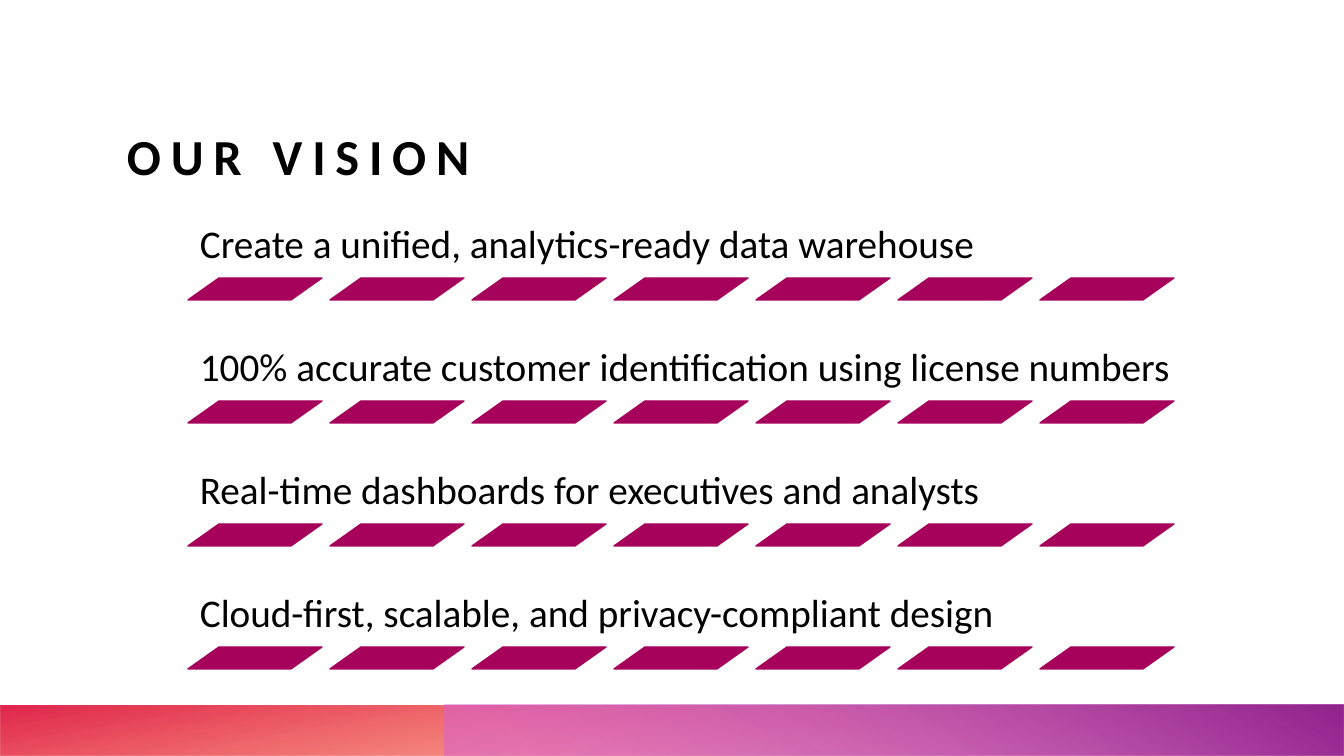
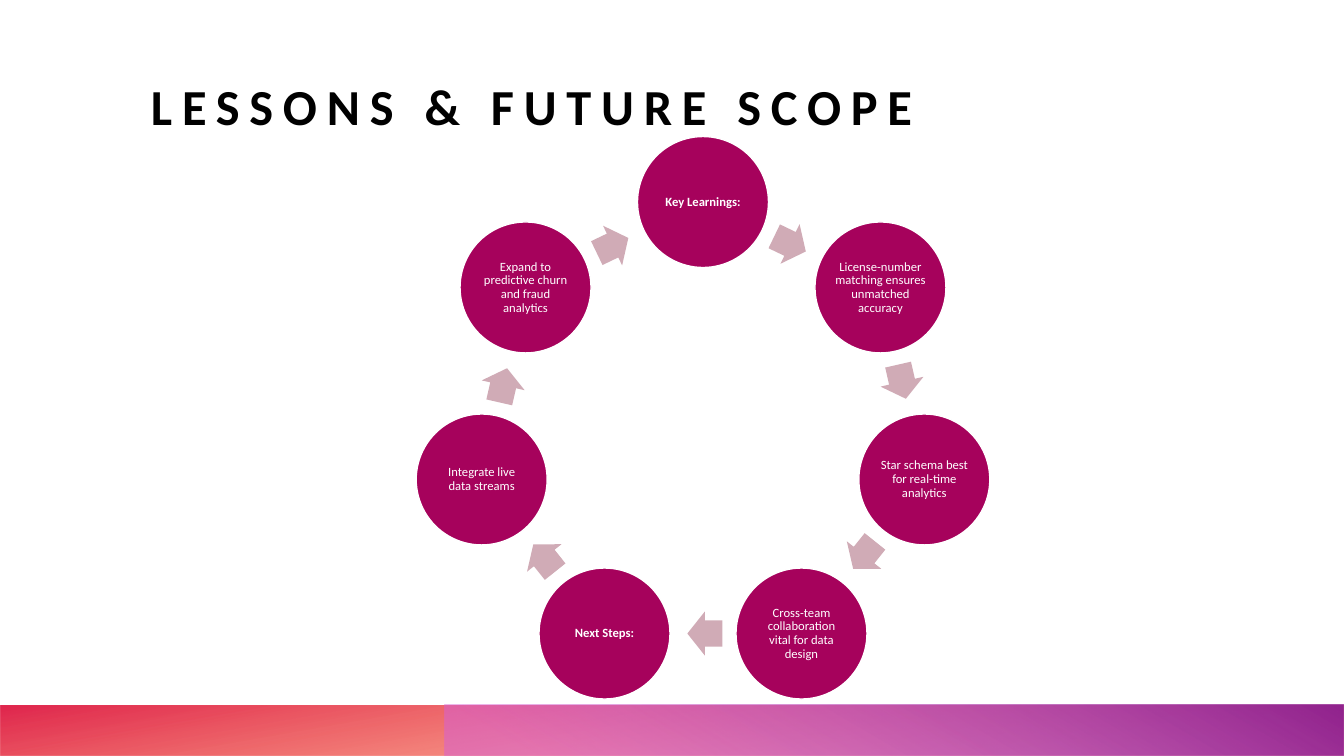
import dataclasses
import math

import lxml.etree
import pptx
import pptx.dml.color
import pptx.enum.shapes
import pptx.enum.text
import pptx.oxml.ns
import pptx.util

SHAPE = pptx.enum.shapes.MSO_SHAPE
ANCHOR = pptx.enum.text.MSO_ANCHOR
ALIGN = pptx.enum.text.PP_ALIGN
RGB = pptx.dml.color.RGBColor.from_string
PX = 914400 / 100.8


@dataclasses.dataclass(frozen=True)
class Theme:
    font: str = "Calibri"
    ink: str = "000000"
    paper: str = "FFFFFF"
    accent: str = "A6025C"
    arrow: str = "D0ABB6"
    orange: str = "FE4A00"
    red: str = "DA002F"
    pink: str = "D861D4"
    purple: str = "92248E"
    title_size: int = 36
    goal_size: int = 28
    step_size: int = 9
    title_tracking: int = 700


theme = Theme()


def add_box(page, kind, left, top, width, height, fill=None, line=None):
    bounds = [round(value * PX) for value in (left, top, width, height)]
    if kind is None:
        return page.shapes.add_textbox(*bounds)
    box = page.shapes.add_shape(kind, *bounds)
    box.shadow.inherit = False
    if fill:
        box.fill.solid()
        box.fill.fore_color.rgb = RGB(fill)
    if line:
        box.line.color.rgb = RGB(line)
        box.line.width = pptx.util.Pt(1)
    else:
        box.line.fill.background()
    return box


def write(box, text, size, color=theme.ink, bold=False, align=ALIGN.LEFT,
          anchor=ANCHOR.BOTTOM, inset=0, spacing=0.9, tracking=0):
    frame = box.text_frame
    frame.word_wrap = True
    frame.vertical_anchor = anchor
    frame.margin_left = frame.margin_right = round(inset * PX)
    frame.margin_top = frame.margin_bottom = round(inset * PX)
    para = frame.paragraphs[0]
    para.alignment = align
    para.line_spacing = spacing
    span = para.add_run()
    span.text = text
    span.font.name = theme.font
    span.font.size = pptx.util.Pt(size)
    span.font.bold = bold
    span.font.color.rgb = RGB(color)
    if tracking:
        span.font._element.set("spc", str(tracking))


deck = pptx.Presentation()
deck.slide_width = round(1344 * PX)
deck.slide_height = round(756 * PX)

bands = [
    (0, 1344, 180, 100, [(0.14, theme.orange, 28), (1, theme.red, 85)]),
    (445, 899, 0, 240, [(0.09, theme.pink, 55), (0.99, theme.purple, 100)]),
]
titles = [("OUR VISION", 127, 50), ("LESSONS & FUTURE SCOPE", 151, 0)]
pages = []
for title, title_left, title_top in titles:
    page = deck.slides.add_slide(deck.slide_layouts[6])
    pages.append(page)
    for left, width, rotation, angle, stops in bands:
        band = add_box(page, SHAPE.RECTANGLE, left, 705, width, 51)
        band.rotation = rotation
        band.element.spPr.xfrm.set("flipH", "1")
        band.fill.gradient()
        band.fill.gradient_angle = 360 - angle
        for stop, (position, color, alpha) in zip(band.fill.gradient_stops, stops):
            stop.position = position
            stop.color.rgb = RGB(color)
        colors = band.element.spPr.iter(pptx.oxml.ns.qn("a:srgbClr"))
        for color_node, (position, color, alpha) in zip(colors, stops):
            lxml.etree.SubElement(color_node, pptx.oxml.ns.qn("a:alpha"), val=str(alpha * 1000))
    title_box = add_box(page, None, title_left, title_top, 1129, 136)
    write(title_box, title, size=theme.title_size, bold=True, spacing=1.0,
          tracking=theme.title_tracking)

vision_page, lessons_page = pages

goals = [
    "Create a unified, analytics-ready data warehouse",
    "100% accurate customer identification using license numbers",
    "Real-time dashboards for executives and analysts",
    "Cloud-first, scalable, and privacy-compliant design",
]
for row, goal in enumerate(goals):
    goal_top = 187 + row * 123
    goal_box = add_box(vision_page, None, 188, goal_top, 1005, 92)
    write(goal_box, goal, size=theme.goal_size, inset=12)
    for column in range(7):
        dash = add_box(vision_page, SHAPE.PARALLELOGRAM, 188 + column * 142, goal_top + 91,
                       134, 22, fill=theme.accent, line=theme.accent)
        dash.adjustments[0] = 1.41

steps = [
    ("Key Learnings:", True),
    ("License-number matching ensures unmatched accuracy", False),
    ("Star schema best for real-time analytics", False),
    ("Cross-team collaboration vital for data design", False),
    ("Next Steps:", True),
    ("Integrate live data streams", False),
    ("Expand to predictive churn and fraud analytics", False),
]
center_x, center_y, radius, diameter = 703, 429, 227, 131
arrow_width, arrow_height = 35, 44
turn = 2 * math.pi / len(steps)
arrow_radius = radius * math.cos(turn / 2)
for index, (step, is_heading) in enumerate(steps):
    angle = index * turn
    circle = add_box(lessons_page, SHAPE.OVAL,
                     center_x + radius * math.sin(angle) - diameter / 2,
                     center_y - radius * math.cos(angle) - diameter / 2,
                     diameter, diameter, fill=theme.accent, line=theme.paper)
    write(circle, step, size=theme.step_size, color=theme.paper, bold=is_heading,
          align=ALIGN.CENTER, anchor=ANCHOR.MIDDLE, inset=1)
    arrow_angle = (index + 0.49) * turn
    arrow = add_box(lessons_page, SHAPE.RIGHT_ARROW,
                    center_x + arrow_radius * math.sin(arrow_angle) - arrow_width / 2,
                    center_y - arrow_radius * math.cos(arrow_angle) - arrow_height / 2,
                    arrow_width, arrow_height, fill=theme.arrow)
    arrow.adjustments[0] = 0.6
    arrow.adjustments[1] = 0.5
    arrow.rotation = math.degrees((index + 0.5) * turn)

deck.save("out.pptx")
